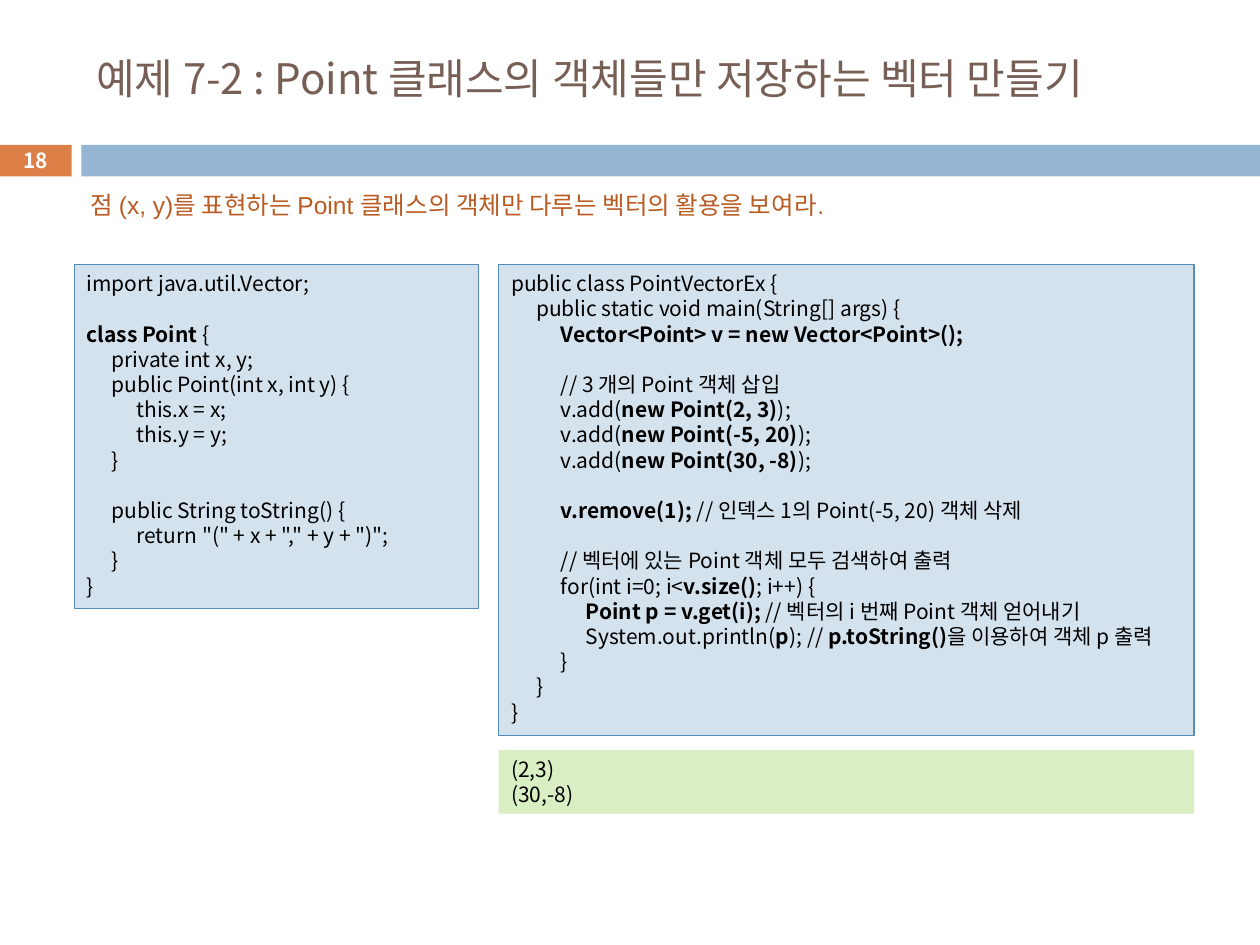
from lxml.etree import SubElement
from pptx import Presentation
from pptx.dml.color import RGBColor
from pptx.enum.shapes import MSO_SHAPE
from pptx.enum.text import MSO_ANCHOR, PP_ALIGN
from pptx.oxml.ns import qn
from pptx.util import Pt

FONT = "Noto Sans CJK KR"
LINE_HEIGHT = 14.4
TAB_STEP = 14.25
CODE_FILL, CODE_BORDER, OUTPUT_FILL = "D4E2ED", "558BB8", "DAEEC4"

POINT_CLASS = """import java.util.Vector;

**class Point **{
\tprivate int x, y;
\tpublic Point(int x, int y) {
\t\tthis.x = x;
\t\tthis.y = y;
\t}

\tpublic String toString() {
\t\treturn "(" + x + "," + y + ")";
\t}
}"""

MAIN_CLASS = """public class PointVectorEx {
\tpublic static void main(String[] args) {
\t\t**Vector<Point> v = new Vector<Point>();**

\t\t// 3 개의 Point 객체 삽입
\t\tv.add(**new Point(2, 3)**);
\t\tv.add(**new Point(-5, 20)**);
\t\tv.add(**new Point(30, -8)**);

\t\t**v.remove(1); **// 인덱스 1의 Point(-5, 20) 객체 삭제

\t\t// 벡터에 있는 Point 객체 모두 검색하여 출력
\t\tfor(int i=0; i<**v.size()**; i++) {
\t\t\t**Point p = v.get(i);** // 벡터의 i 번째 Point 객체 얻어내기
\t\t\tSystem.out.println(**p**); // **p.toString()**을 이용하여 객체 p 출력
\t\t}
\t}
}"""

OUTPUT = "(2,3)\n(30,-8)"


def color(value):
    return RGBColor.from_string(value)


def set_all(target, values):
    for name, value in values.items():
        setattr(target, name, value)


def add_run(paragraph, text, size, ink, font=FONT, bold=False):
    run = paragraph.add_run()
    run.text = text
    set_all(run.font, {"size": Pt(size), "name": font, "bold": bold})
    run.font.color.rgb = color(ink)
    SubElement(run.font._element, qn("a:ea")).set("typeface", FONT)


def add_bar(slide, box, fill, border=None):
    bar = slide.shapes.add_shape(MSO_SHAPE.RECTANGLE, *map(Pt, box))
    bar.shadow.inherit = False
    bar.fill.solid()
    bar.fill.fore_color.rgb = color(fill)
    if border:
        bar.line.color.rgb = color(border)
        bar.line.width = Pt(0.75)
    else:
        bar.line.fill.background()
    return bar


def add_label(slide, box, text, size, ink, font=FONT, bold=False,
              align=PP_ALIGN.LEFT, anchor=MSO_ANCHOR.MIDDLE):
    frame = slide.shapes.add_textbox(*map(Pt, box)).text_frame
    set_all(frame, {"word_wrap": True, "vertical_anchor": anchor})
    paragraph = frame.paragraphs[0]
    paragraph.alignment = align
    add_run(paragraph, text, size, ink, font, bold)


def add_tab_stops(paragraph, count=3):
    stops = SubElement(paragraph._p.get_or_add_pPr(), qn("a:tabLst"))
    for level in range(1, count + 1):
        stop = SubElement(stops, qn("a:tab"))
        stop.set("pos", str(Pt(level * TAB_STEP)))
        stop.set("algn", "l")


def add_listing(slide, box, source, fill, border=None):
    frame = add_bar(slide, box, fill, border).text_frame
    set_all(frame, {"word_wrap": True, "vertical_anchor": MSO_ANCHOR.TOP,
                    "margin_right": 0})
    paragraph, gap = frame.paragraphs[0], 0
    for number, line in enumerate(source.split("\n")):
        if not line:
            gap = LINE_HEIGHT
            continue
        if number:
            paragraph = frame.add_paragraph()
        set_all(paragraph, {"alignment": PP_ALIGN.LEFT, "space_before": Pt(gap),
                            "line_spacing": Pt(LINE_HEIGHT)})
        add_tab_stops(paragraph)
        for part, text in enumerate(line.split("**")):
            if text:
                add_run(paragraph, text, 12, "000000", bold=part % 2 == 1)
        gap = 0


def main():
    deck = Presentation()
    set_all(deck, {"slide_width": Pt(720), "slide_height": Pt(540)})
    slide = deck.slides.add_slide(deck.slide_layouts[6])

    add_bar(slide, (0, 82.8, 41, 18), "DD8047")
    add_bar(slide, (46.5, 82.8, 673.5, 18), "94B6D2")
    add_label(slide, (48, 18, 642, 53.3),
              "예제 7-2 : Point 클래스의 객체들만 저장하는 벡터 만들기", 24, "775F55")
    add_label(slide, (0, 81.7, 41, 19.5), "18", 11.9, "FFFFFF",
              bold=True, align=PP_ALIGN.CENTER)
    add_listing(slide, (42.5, 151.2, 231, 196.6), POINT_CLASS, CODE_FILL, CODE_BORDER)
    add_listing(slide, (285, 428.6, 397.3, 36.3), OUTPUT, OUTPUT_FILL)
    add_listing(slide, (285, 151.2, 397.3, 269), MAIN_CLASS, CODE_FILL, CODE_BORDER)
    add_label(slide, (44.8, 105, 478, 24.3),
              "점 (x, y)를 표현하는 Point 클래스의 객체만 다루는 벡터의 활용을 보여라.",
              14, "B95B22", font="Arial", anchor=MSO_ANCHOR.TOP)
    deck.save("out.pptx")


if __name__ == "__main__":
    main()
